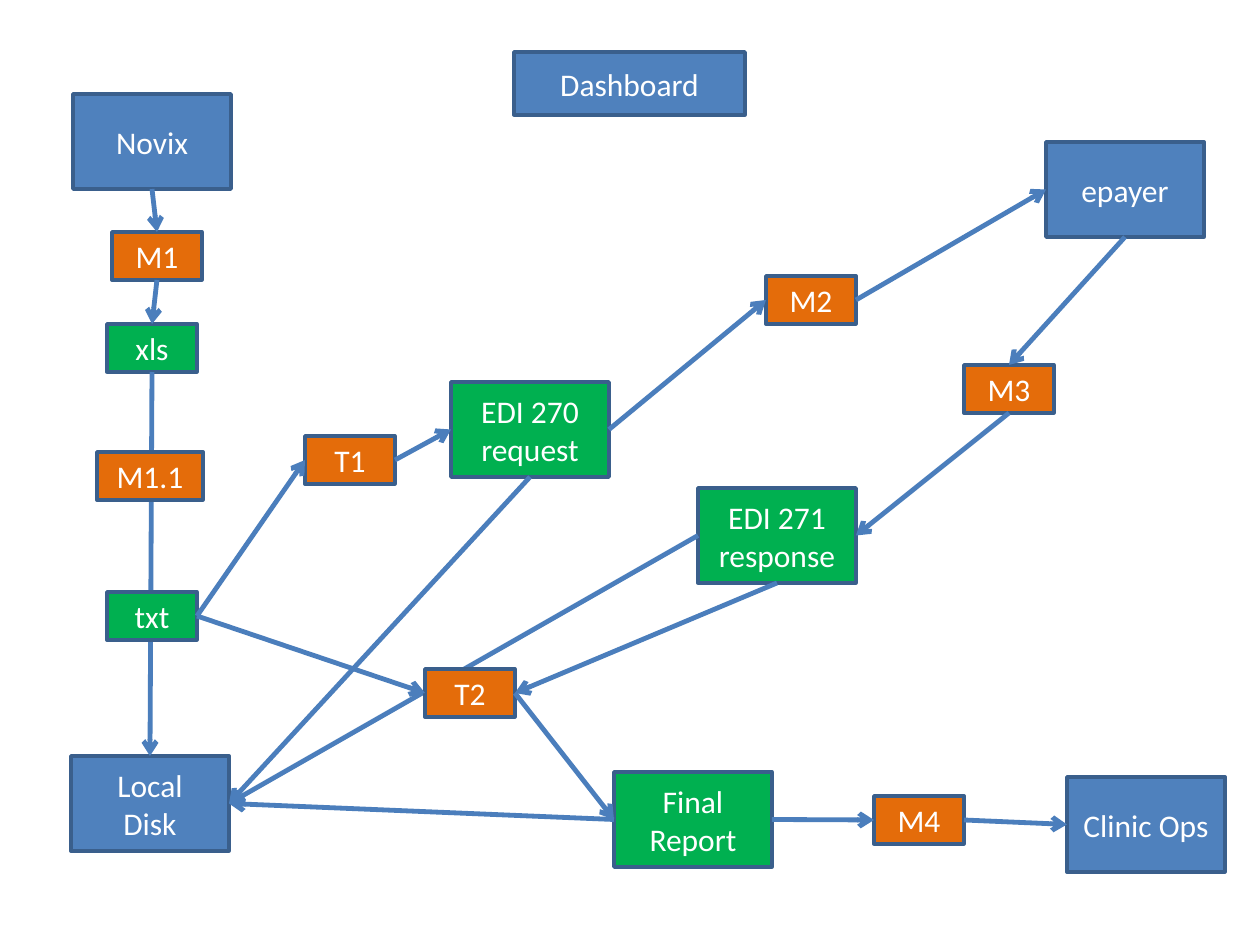
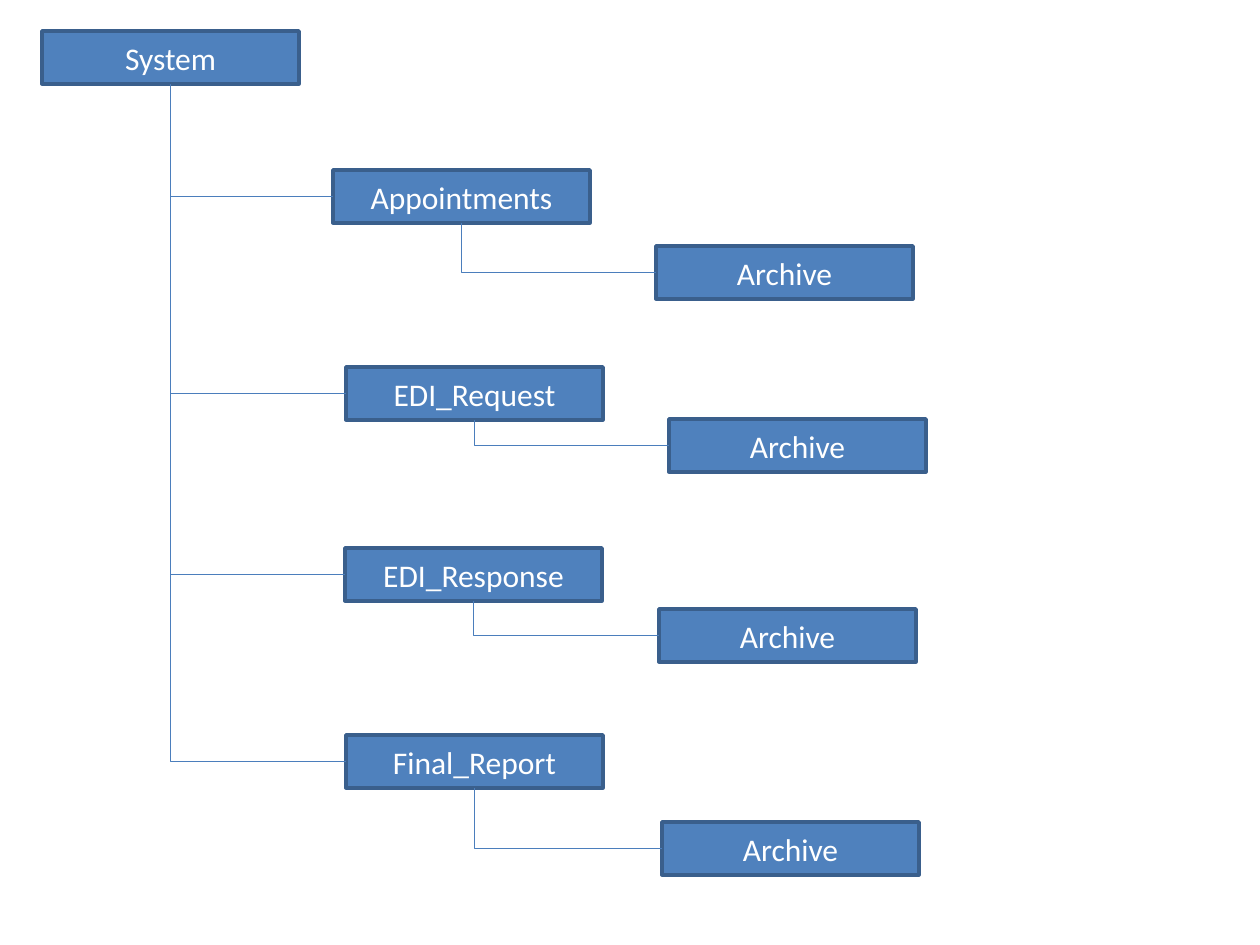
"""Build a claims data-flow diagram and its folder tree."""
from lxml import etree
from pptx import Presentation
from pptx.dml.color import RGBColor
from pptx.enum.shapes import MSO_CONNECTOR, MSO_SHAPE
from pptx.enum.text import MSO_ANCHOR, PP_ALIGN
from pptx.oxml.ns import qn
from pptx.util import Emu, Pt

RECTANGLE = MSO_SHAPE.RECTANGLE
STRAIGHT = MSO_CONNECTOR.STRAIGHT
ELBOW = MSO_CONNECTOR.ELBOW
CENTER = PP_ALIGN.CENTER
MIDDLE = MSO_ANCHOR.MIDDLE
TOP, LEFT, BOTTOM, RIGHT = range(4)

EMU_PER_PIXEL = 914400 / 126
COLORS = {
    "system": "4F81BD",
    "file": "00B050",
    "step": "E46C0A",
    "border": "3A5F8C",
    "link": "4B7EBC",
    "text": "FFFFFF",
}
FONT = {"name": "Calibri", "size": Pt(18)}
FRAME = {"word_wrap": True, "vertical_anchor": MIDDLE}
LARGE = (158, 95)
SMALL = (90, 48)
FOLDER = (257, 53)


def pixels(value):
    return Emu(round(value * EMU_PER_PIXEL))


def color(name):
    return RGBColor.from_string(COLORS[name])


def apply(target, values):
    for name, value in values.items():
        setattr(target, name, value)


class Diagram:
    """Hold the diagram style and the slide being drawn."""

    def __init__(self, presentation):
        self.presentation = presentation
        self.slide = None

    def new_slide(self):
        layout = self.presentation.slide_layouts[6]
        self.slide = self.presentation.slides.add_slide(layout)

    def box(self, text, left, top, size, kind="system"):
        bounds = [pixels(value) for value in (left, top, *size)]
        shape = self.slide.shapes.add_shape(RECTANGLE, *bounds)
        shape.shadow.inherit = False
        shape.fill.solid()
        shape.fill.fore_color.rgb = color(kind)
        shape.line.color.rgb = color("border")
        shape.line.width = Pt(2)
        apply(shape.text_frame, FRAME)
        shape.text_frame.text = text
        for paragraph in shape.text_frame.paragraphs:
            paragraph.alignment = CENTER
            apply(paragraph.font, FONT)
            paragraph.font.color.rgb = color("text")
        return shape

    def connect(self, kind, start, start_side, end, end_side, width):
        connector = self.slide.shapes.add_connector(kind, 0, 0, 0, 0)
        connector.begin_connect(start, start_side)
        connector.end_connect(end, end_side)
        connector.line.color.rgb = color("link")
        connector.line.width = Pt(width)
        etree.SubElement(connector._element.spPr, qn("a:effectLst"))
        return connector

    def arrow(self, start, start_side, end, end_side):
        connector = self.connect(STRAIGHT, start, start_side, end, end_side, 2.75)
        line = connector.line._get_or_add_ln()
        etree.SubElement(line, qn("a:tailEnd"), type="arrow")

    def branch(self, parent, child):
        connector = self.connect(ELBOW, parent, BOTTOM, child, LEFT, 0.75)
        across, down = connector.width, connector.height
        shift = (across - down) // 2
        apply(connector, {
            "left": connector.left + shift,
            "top": connector.top - shift,
            "width": down,
            "height": across,
        })
        properties = connector._element.spPr
        transform = properties.find(qn("a:xfrm"))
        transform.set("rot", "16200000")
        transform.set("flipH", "1")
        properties.find(qn("a:prstGeom")).set("prst", "bentConnector2")


def draw_data_flow(diagram):
    diagram.new_slide()
    box, arrow = diagram.box, diagram.arrow

    records = box("Novix", 73, 94, LARGE)
    payer = box("epayer", 1046, 142, LARGE)
    disk = box("Local\nDisk", 71, 756, LARGE)
    clinic = box("Clinic Ops", 1067, 777, LARGE)
    box("Dashboard", 514, 52, (231, 63))
    request = box("EDI 270\nrequest", 451, 382, LARGE, "file")
    response = box("EDI 271\nresponse", 698, 488, LARGE, "file")
    report = box("Final\nReport", 614, 772, LARGE, "file")
    xls = box("xls", 107, 324, SMALL, "file")

    arrow(xls, BOTTOM, disk, TOP)
    arrow(response, LEFT, disk, RIGHT)

    txt = box("txt", 107, 592, SMALL, "file")
    box("M1.1", 97, 452, (106, 48), "step")
    m1, m2, m3, m4, t1, t2 = [
        box(text, left, top, SMALL, "step")
        for text, left, top in (
            ("M1", 112, 232),
            ("M2", 766, 276),
            ("M3", 964, 365),
            ("M4", 874, 796),
            ("T1", 305, 436),
            ("T2", 425, 669),
        )
    ]

    for link in (
        (records, BOTTOM, m1, TOP),
        (m1, BOTTOM, xls, TOP),
        (txt, RIGHT, t1, LEFT),
        (t1, RIGHT, request, LEFT),
        (request, BOTTOM, disk, RIGHT),
        (request, RIGHT, m2, LEFT),
        (m2, RIGHT, payer, LEFT),
        (payer, BOTTOM, m3, TOP),
        (m3, BOTTOM, response, RIGHT),
        (txt, RIGHT, t2, LEFT),
        (response, BOTTOM, t2, RIGHT),
        (t2, RIGHT, report, LEFT),
        (report, RIGHT, m4, LEFT),
        (m4, RIGHT, clinic, LEFT),
        (report, LEFT, disk, RIGHT),
    ):
        arrow(*link)


def draw_folder_tree(diagram):
    diagram.new_slide()
    root = diagram.box("System", 42, 31, FOLDER)
    for name, position, archive_position in (
        ("Appointments", (333, 170), (656, 246)),
        ("EDI_Request", (346, 367), (669, 419)),
        ("EDI_Response", (345, 548), (659, 609)),
        ("Final_Report", (346, 735), (662, 822)),
    ):
        folder = diagram.box(name, *position, FOLDER)
        archive = diagram.box("Archive", *archive_position, FOLDER)
        diagram.branch(root, folder)
        diagram.branch(folder, archive)


presentation = Presentation()
presentation.slide_width = pixels(1260)
presentation.slide_height = pixels(945)
diagram = Diagram(presentation)
draw_data_flow(diagram)
draw_folder_tree(diagram)
presentation.save("out.pptx")
